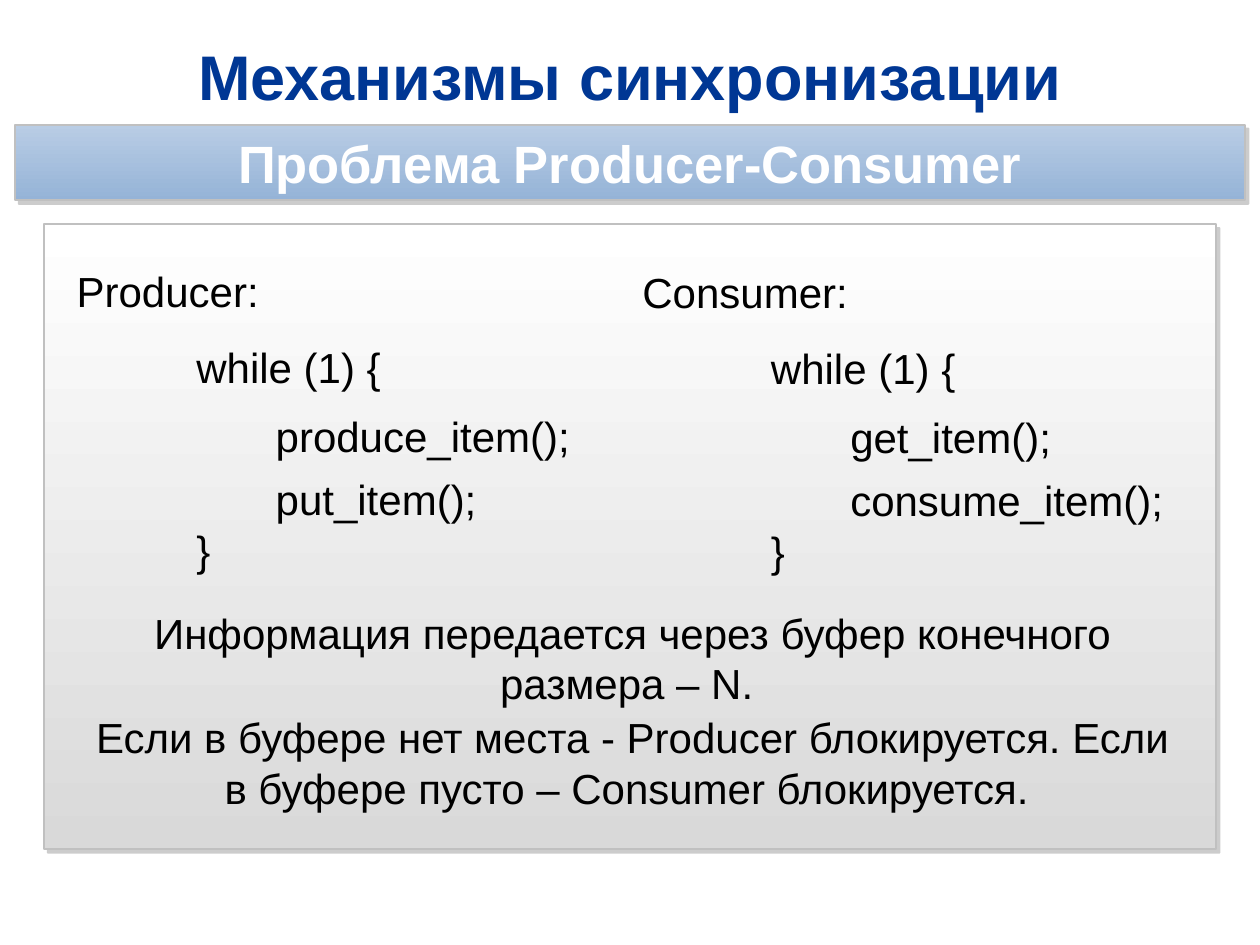
from lxml import etree
from pptx import Presentation, util as u
from pptx.dml.color import RGBColor
from pptx.enum import shapes, text
from pptx.oxml import parse_xml

WIDTH, HEIGHT = 10, 7.5
MARGIN = 0.035 * WIDTH
CONTENT = WIDTH - 2 * MARGIN
DRAWING = "http://schemas.openxmlformats.org/drawingml/2006/main"


def color(value):
    return RGBColor.from_string(value)


def inches(box):
    return [u.Inches(length) for length in box]


def write(frame, words, size=24, ink="000000", bold=False,
          align=text.PP_ALIGN.LEFT, anchor=text.MSO_ANCHOR.TOP, inset=(0.1, 0.05)):
    frame.word_wrap = True
    frame.vertical_anchor = anchor
    frame.margin_left = frame.margin_right = u.Inches(inset[0])
    frame.margin_top = frame.margin_bottom = u.Inches(inset[1])
    paragraph = frame.paragraphs[0]
    paragraph.alignment = align
    run = paragraph.add_run()
    run.text = words
    run.font.name = "Arial"
    run.font.size = u.Pt(size)
    run.font.bold = bold
    run.font.color.rgb = color(ink)


def label(slide, box, words, **style):
    frame = slide.shapes.add_textbox(*inches(box)).text_frame
    write(frame, words, **style)
    return frame


def panel(slide, box, top_color, bottom_color):
    plate = slide.shapes.add_shape(shapes.MSO_SHAPE.RECTANGLE, *inches(box))
    plate.fill.gradient()
    plate.fill.gradient_angle = 270
    for stop, place, shade in zip(plate.fill.gradient_stops, (0, 1), (top_color, bottom_color)):
        stop.position = place
        stop.color.rgb = color(shade)
    plate.line.color.rgb = color("C0C0C0")
    plate.line.width = u.Pt(1)
    plate.shadow.inherit = False
    effects = plate._element.spPr.find(f"{{{DRAWING}}}effectLst")
    effects.append(parse_xml(
        f'<a:outerShdw xmlns:a="{DRAWING}" blurRad="0" dist="{u.Pt(3)}" dir="2700000" '
        'algn="tl" rotWithShape="0"><a:srgbClr val="808080">'
        '<a:alpha val="40000"/></a:srgbClr></a:outerShdw>'))
    return plate


def heading(slide, box):
    label(slide, box, "Механизмы синхронизации", size=36, ink="003794", bold=True,
          align=text.PP_ALIGN.CENTER, anchor=text.MSO_ANCHOR.MIDDLE)


def banner(slide, box):
    plate = panel(slide, box, "B9CDE5", "95B3D7")
    write(plate.text_frame, "Проблема Producer-Consumer", size=30, ink="FFFFFF", bold=True,
          align=text.PP_ALIGN.CENTER, anchor=text.MSO_ANCHOR.MIDDLE, inset=(0.24, 0.04))


def loop(slide, box, role, calls, indent):
    left, top, width, height = box
    body = indent + 0.63
    lines = [(0, 0, role), (indent, 0.24, "while (1) {"),
             (body, 0.46, calls[0]), (body, 0.66, calls[1]), (indent, 0.82, "}")]
    for shift, share, words in lines:
        room = 3.03 if shift == body else 2.05
        frame = label(slide, (left + shift, top + share * height, room, 0.2 * height), words)
        frame.auto_size = text.MSO_AUTO_SIZE.SHAPE_TO_FIT_TEXT


def notes(slide, box, sentences):
    left, top, width, height = box
    row = height / len(sentences)
    for index, sentence in enumerate(sentences):
        frame = label(slide, (left, top + index * row, width, 0.91), sentence,
                      align=text.PP_ALIGN.CENTER)
        frame.auto_size = text.MSO_AUTO_SIZE.SHAPE_TO_FIT_TEXT


def main():
    deck = Presentation()
    deck.slide_width, deck.slide_height = inches((WIDTH, HEIGHT))
    slide = deck.slides.add_slide(deck.slide_layouts[6])
    heading(slide, (MARGIN, 0.26, CONTENT, 0.68))
    banner(slide, (0.12, 0.99, WIDTH - 0.24, 0.6))
    panel(slide, (MARGIN, 1.78, CONTENT, 4.96), "FFFFFF", "D9D9D9")
    loop(slide, (0.51, 2.06, 4.6, 2.5), "Producer:", ("produce_item();", "put_item();"), 0.95)
    loop(slide, (5, 2.07, 4.6, 2.5), "Consumer:", ("get_item();", "consume_item();"), 1.02)
    notes(slide, (0.63, 4.77, 8.78, 1.66), (
        "Информация передается через буфер конечного размера – N. ",
        "Если в буфере нет места - Producer блокируется. "
        "Если в буфере пусто – Consumer блокируется. "))
    deck.save("out.pptx")


if __name__ == "__main__":
    main()
